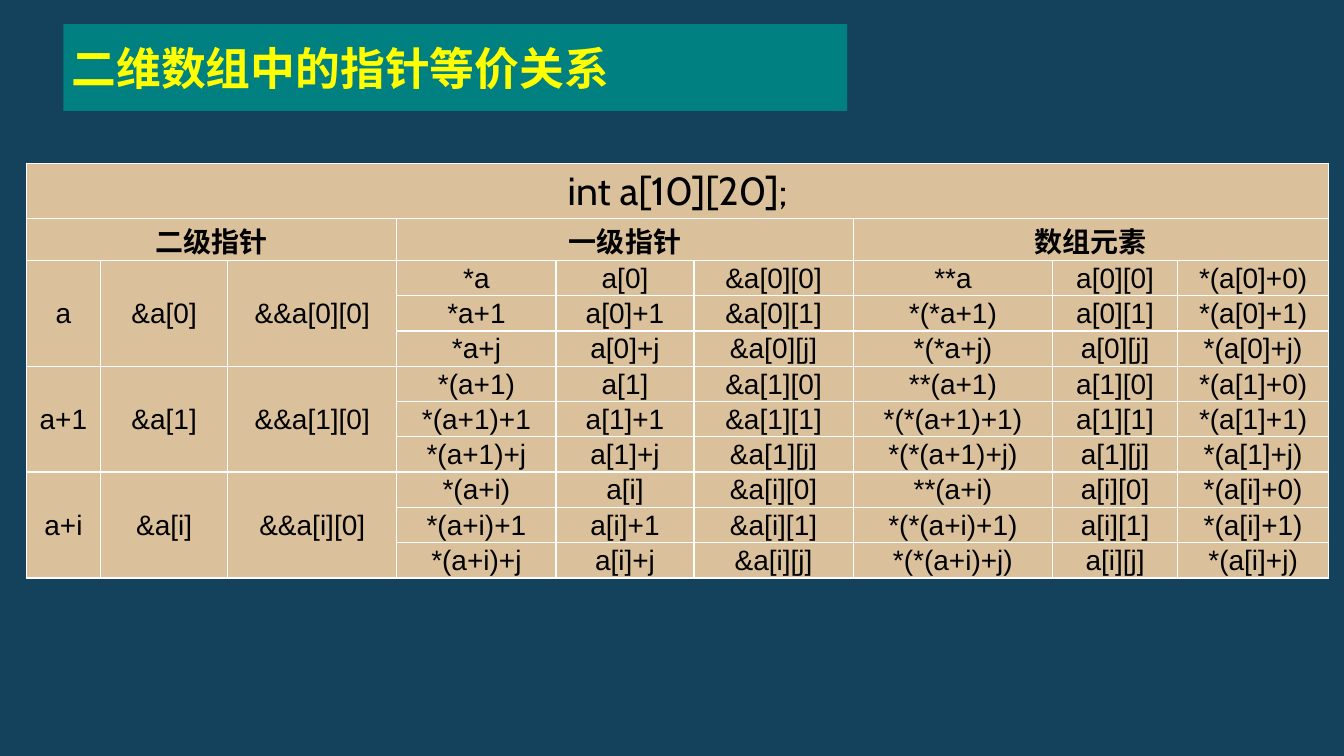
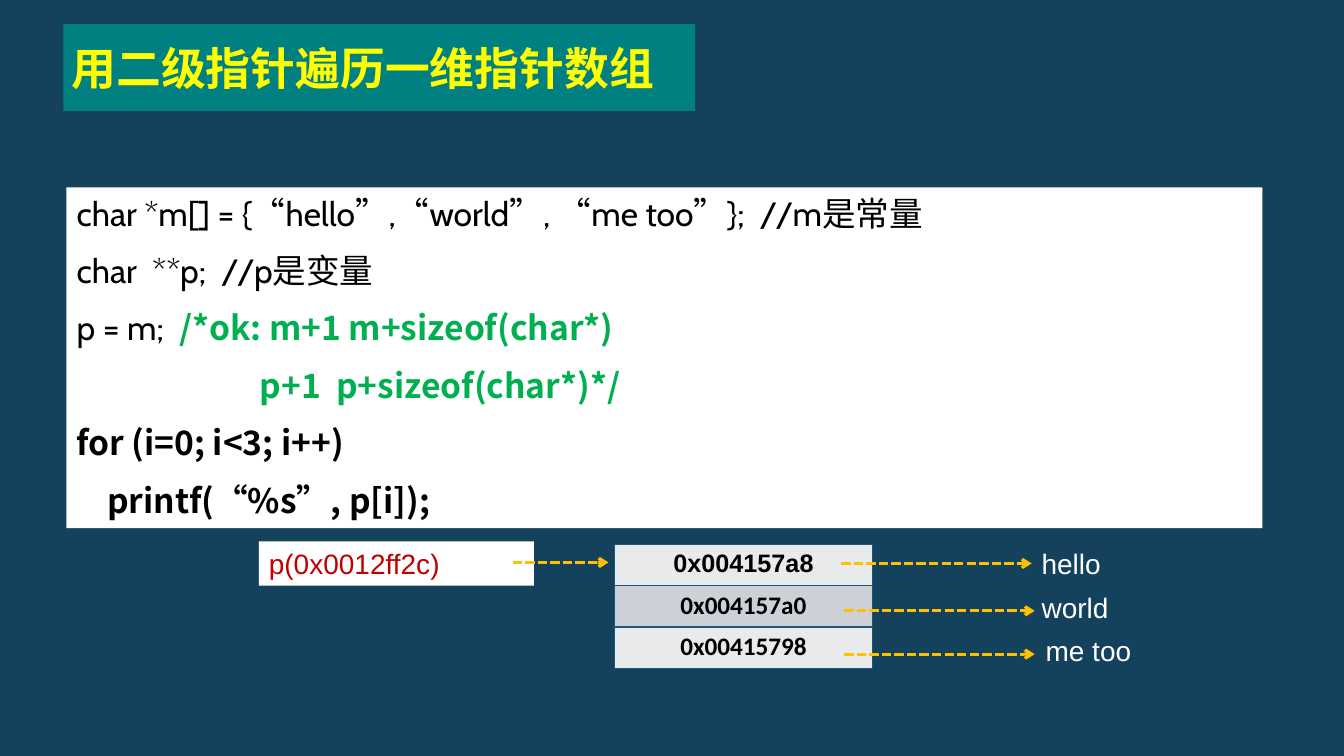
from dataclasses import dataclass
from typing import Optional

from lxml import etree
from pptx import Presentation
from pptx import util as u
from pptx.dml import color as dml_color
from pptx.enum import dml, shapes, text
from pptx.oxml import ns

PX = 9144  # 100 px to the inch

# Shared look
BACKGROUND, BAND, TITLE = "14425D", "008080", "FFFF00"
BLACK, WHITE, RED, GREEN, AMBER = "000000", "FFFFFF", "C00000", "00B050", "FFC000"
TAN, STEEL, PALE, GREY = "DAC19B", "1B587C", "E8EAEC", "CDD1D7"
CJK, CABIN, ARIAL, CALIBRI = "Noto Sans CJK SC", "Cabin", "Arial", "Calibri"
CENTER, LEFT = text.PP_ALIGN.CENTER, text.PP_ALIGN.LEFT
TOP, MIDDLE = text.MSO_ANCHOR.TOP, text.MSO_ANCHOR.MIDDLE


@dataclass(frozen=True)
class Style:
    font: str
    size: int
    color: str = BLACK
    bold: bool = False


@dataclass(frozen=True)
class Box:
    left: int
    top: int
    width: int
    height: int


@dataclass(frozen=True)
class Label:
    box: Box
    words: str
    color: str = WHITE
    fill: Optional[str] = None


@dataclass(frozen=True)
class Arrow:
    left: int
    right: int
    y: int


@dataclass(frozen=True)
class CellLook:
    margins: tuple[int, int, int, int]
    anchor: text.MSO_ANCHOR
    border: str


# Helpers
def px(length: int) -> u.Emu:
    return u.Emu(length * PX)


def rgb(value: str) -> dml_color.RGBColor:
    return dml_color.RGBColor.from_string(value)


def paint(target, color: str) -> None:
    target.fill.solid()
    target.fill.fore_color.rgb = rgb(color)


def place(shape, box: Box) -> None:
    shape.left, shape.top = px(box.left), px(box.top)
    shape.width, shape.height = px(box.width), px(box.height)


def set_margins(target, margins: tuple[int, int, int, int]) -> None:
    (target.margin_left, target.margin_top,
     target.margin_right, target.margin_bottom) = map(px, margins)


def add_run(paragraph, words: str, style: Style) -> None:
    run = paragraph.add_run()
    run.text = words
    run.font.name, run.font.size = style.font, u.Pt(style.size)
    run.font.bold, run.font.color.rgb = style.bold, rgb(style.color)
    properties = run._r.get_or_add_rPr()
    latin = properties.find(ns.qn("a:latin"))
    latin.addnext(etree.Element(ns.qn("a:ea"), typeface=CJK))


def add_title(slide, words: str, width: int) -> None:
    title = slide.shapes.title
    place(title, Box(63, 24, width, 86))
    paint(title, BAND)
    frame = title.text_frame
    frame.vertical_anchor, frame.word_wrap = MIDDLE, True
    frame.auto_size = text.MSO_AUTO_SIZE.NONE
    set_margins(frame, (8, 4, 8, 4))
    paragraph = frame.paragraphs[0]
    paragraph.alignment = LEFT
    add_run(paragraph, words, Style(CJK, 32, TITLE, True))


def add_table(slide, left: int, top: int, columns: list[int], rows: list[int]):
    frame = slide.shapes.add_table(len(rows), len(columns), px(left), px(top),
                                   px(sum(columns)), px(sum(rows)))
    table = frame.table
    table.first_row = table.horz_banding = False
    for column, width in zip(table.columns, columns):
        column.width = px(width)
    for row, height in zip(table.rows, rows):
        row.height = px(height)
    return table


def format_cell(cell, fill: str, look: CellLook) -> None:
    paint(cell, fill)
    set_margins(cell, look.margins)
    cell.vertical_anchor = look.anchor
    properties = cell._tc.get_or_add_tcPr()
    for index, side in enumerate(("lnL", "lnR", "lnT", "lnB")):
        line = etree.Element(ns.qn(f"a:{side}"), w=str(u.Pt(1)))
        solid = etree.SubElement(line, ns.qn("a:solidFill"))
        etree.SubElement(solid, ns.qn("a:srgbClr"), val=look.border)
        properties.insert(index, line)


def write_cell(cell, words: str, style: Style) -> None:
    paragraph = cell.text_frame.paragraphs[0]
    paragraph.alignment = CENTER
    add_run(paragraph, words, style)


def add_label(slide, label: Label) -> None:
    shape = slide.shapes.add_textbox(0, 0, 0, 0)
    place(shape, label.box)
    if label.fill:
        paint(shape, label.fill)
    shape.text_frame.word_wrap = True
    add_run(shape.text_frame.paragraphs[0], label.words, Style(ARIAL, 20, label.color))


def add_arrow(slide, arrow: Arrow) -> None:
    connector = slide.shapes.add_connector(
        shapes.MSO_CONNECTOR.STRAIGHT,
        px(arrow.left), px(arrow.y), px(arrow.right), px(arrow.y))
    connector.line.color.rgb = rgb(AMBER)
    connector.line.width = u.Pt(2.25)
    connector.line.dash_style = dml.MSO_LINE.SQUARE_DOT
    properties = connector.element.spPr
    etree.SubElement(properties.find(ns.qn("a:ln")), ns.qn("a:tailEnd"), type="arrow")
    etree.SubElement(properties, ns.qn("a:effectLst"))


# Slide 1: equivalent pointer expressions
def element_forms(row: str, column: str) -> list[str]:
    base = "a" if row == "0" else f"(a+{row})"
    offset = "" if column == "0" else f"+{column}"
    element = f"*(*{base}{offset})" if offset else f"**{base}"
    return [f"*{base}{offset}", f"a[{row}]{offset}", f"&a[{row}][{column}]",
            element, f"a[{row}][{column}]", f"*(a[{row}]+{column})"]


def build_equivalence_slide(presentation) -> None:
    slide = presentation.slides.add_slide(presentation.slide_layouts[5])
    add_title(slide, "二维数组中的指针等价关系", 778)
    columns = [74, 126, 168, 158, 137, 158, 198, 124, 150]
    table = add_table(slide, 26, 162, columns, [55] + [35] * 10)
    look = CellLook((1, 1, 1, 0), MIDDLE, WHITE)
    for cell in table.iter_cells():
        format_cell(cell, TAN, look)

    table.cell(0, 0).merge(table.cell(0, 8))
    write_cell(table.cell(0, 0), "int a[10][20];", Style(CABIN, 28))
    for group, heading in enumerate(("二级指针", "一级指针", "数组元素")):
        first = table.cell(1, group * 3)
        first.merge(table.cell(1, group * 3 + 2))
        write_cell(first, heading, Style(ARIAL, 20, bold=True))

    body = Style(ARIAL, 20)
    for block, row in enumerate("01i"):
        top = 2 + block * 3
        pointer = "a" if row == "0" else f"a+{row}"
        for index, words in enumerate((pointer, f"&a[{row}]", f"&&a[{row}][0]")):
            table.cell(top, index).merge(table.cell(top + 2, index))
            write_cell(table.cell(top, index), words, body)
        for step, column in enumerate("01j"):
            for index, words in enumerate(element_forms(row, column), start=3):
                write_cell(table.cell(top + step, index), words, body)


# Slide 2: walking a pointer array
def add_code(slide) -> None:
    plain = Style(CABIN, 24)
    comment = Style(CJK, 24, GREEN, True)
    strong = Style(CJK, 24, bold=True)
    lines = [
        [("char *m[] = {“hello”,“world”, “me too”};  //m是常量", plain)],
        [("char  **p;  //p是变量", plain)],
        [("p = m;  ", plain), ("/*ok: m+1 m+sizeof(char*)", comment)],
        [("                        p+1  p+sizeof(char*)*/", comment)],
        [("for (i=0; i<3; i++)", strong)],
        [("    printf(“%s”, p[i]);", strong)],
    ]
    body = slide.placeholders[1]
    place(body, Box(66, 186, 1187, 338))
    paint(body, WHITE)
    frame = body.text_frame
    frame.word_wrap, frame.vertical_anchor = True, TOP
    frame.auto_size = text.MSO_AUTO_SIZE.NONE
    for index, runs in enumerate(lines):
        paragraph = frame.add_paragraph() if index else frame.paragraphs[0]
        properties = paragraph._p.get_or_add_pPr()
        properties.set("marL", "0")
        properties.set("indent", "0")
        etree.SubElement(properties, ns.qn("a:buNone"))
        paragraph.space_before = u.Pt(0)
        if index:
            paragraph.line_spacing = u.Pt(41)
        for words, style in runs:
            add_run(paragraph, words, style)


def build_traversal_slide(presentation) -> None:
    slide = presentation.slides.add_slide(presentation.slide_layouts[1])
    add_title(slide, "用二级指针遍历一维指针数组", 627)
    add_code(slide)

    addresses = [("0x004157a8", ARIAL, PALE), ("0x004157a0", CALIBRI, GREY),
                 ("0x00415798", CALIBRI, PALE)]
    table = add_table(slide, 610, 540, [256], [41] * 3)
    look = CellLook((13, 5, 13, 5), TOP, STEEL)
    for cell, (words, font, fill) in zip(table.iter_cells(), addresses):
        format_cell(cell, fill, look)
        write_cell(cell, words, Style(font, 18, bold=True))

    labels = [
        Label(Box(257, 537, 273, 44), "p(0x0012ff2c)", RED, WHITE),
        Label(Box(1024, 537, 284, 44), "hello"),
        Label(Box(1024, 581, 284, 44), "world"),
        Label(Box(1028, 624, 284, 44), "me too"),
    ]
    for label in labels:
        add_label(slide, label)
    arrows = [Arrow(835, 1024, 559), Arrow(838, 1027, 606),
              Arrow(838, 1027, 649), Arrow(509, 604, 558)]
    for arrow in arrows:
        add_arrow(slide, arrow)


def main() -> None:
    presentation = Presentation()
    presentation.slide_width, presentation.slide_height = px(1334), px(750)
    paint(presentation.slide_master.background, BACKGROUND)
    build_equivalence_slide(presentation)
    build_traversal_slide(presentation)
    presentation.save("out.pptx")


if __name__ == "__main__":
    main()
